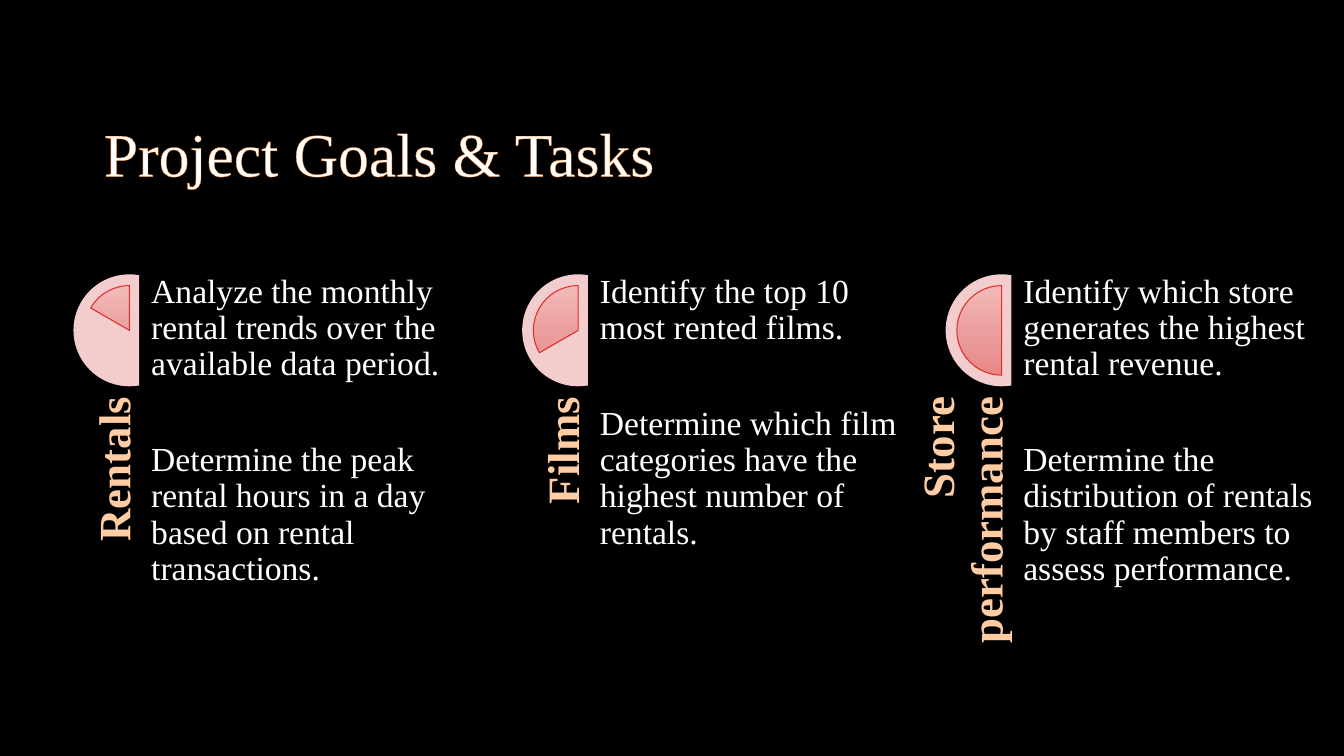
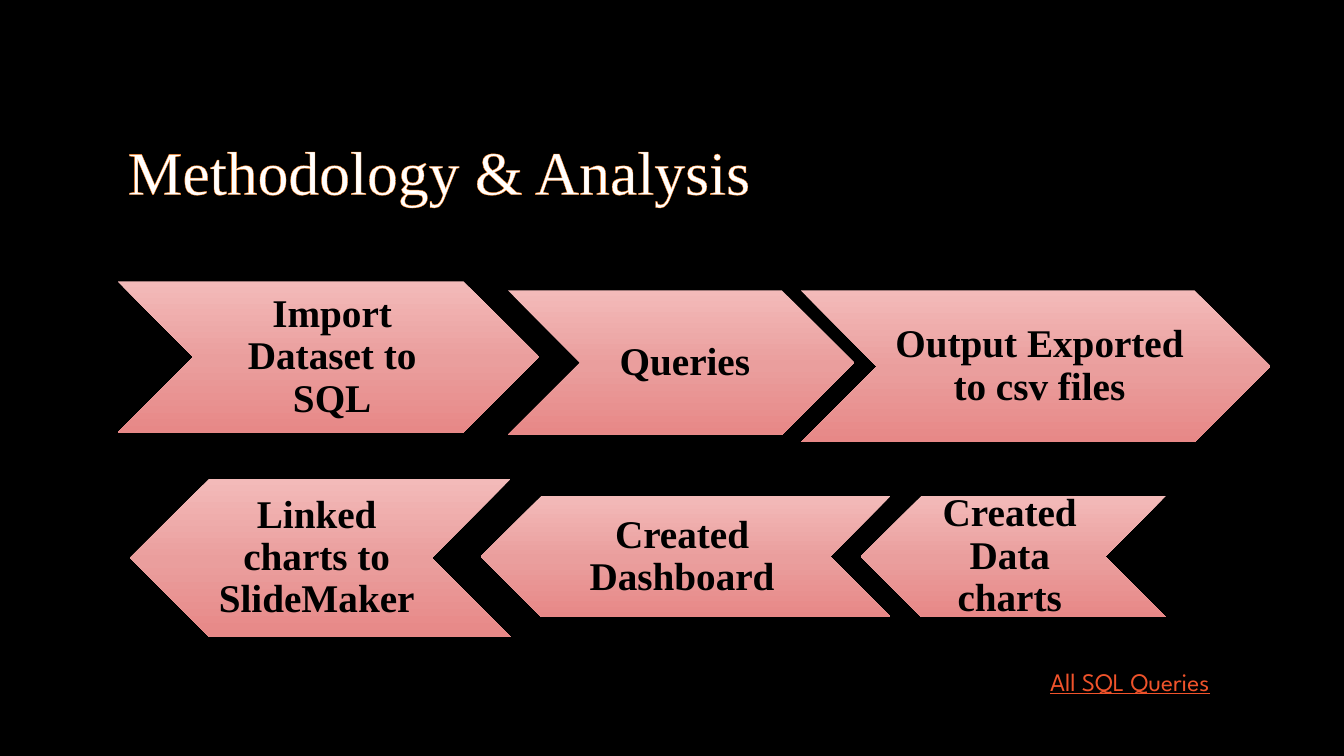
from copy import deepcopy

from lxml import etree
from pptx import Presentation
from pptx.dml.color import RGBColor
from pptx.enum.shapes import MSO_SHAPE
from pptx.enum.text import MSO_ANCHOR, MSO_AUTO_SIZE, PP_ALIGN
from pptx.oxml.ns import qn
from pptx.util import Pt

CHORD, PIE, CHEVRON = MSO_SHAPE.CHORD, MSO_SHAPE.PIE, MSO_SHAPE.CHEVRON
LEFT, CENTER, RIGHT = PP_ALIGN.LEFT, PP_ALIGN.CENTER, PP_ALIGN.RIGHT
TOP, MIDDLE, BOTTOM = MSO_ANCHOR.TOP, MSO_ANCHOR.MIDDLE, MSO_ANCHOR.BOTTOM
TITLE_ONLY = 5

BLACK, WHITE = "000000", "FFFFFF"
PALE_PINK, RED, PEACH = "F3CDCD", "DF2E28", "FFCCA3"
ORANGE, LINK_RED = "FE801A", "F0532B"
GRADIENT = [(0, "F3BAB9"), (0.52, "EA9E9D"), (1, "E78887")]


def write(shape, *texts, size=24, color=WHITE, font="Times New Roman", bold=False,
          underline=False, align=LEFT, anchor=TOP, insets=(0, 0, 0, 0),
          line_spacing=0.9, gap=0, wrap=True, outline=None):
    """Fill a shape with one formatted paragraph per text."""
    frame = shape.text_frame
    frame.auto_size = MSO_AUTO_SIZE.NONE
    frame.word_wrap = wrap
    frame.vertical_anchor = anchor
    (frame.margin_left, frame.margin_top,
     frame.margin_right, frame.margin_bottom) = map(Pt, insets)
    for index, text in enumerate(texts):
        paragraph = frame.add_paragraph() if index else frame.paragraphs[0]
        paragraph.alignment = align
        paragraph.line_spacing = line_spacing
        paragraph.space_before = Pt(gap if index else 0)
        run = paragraph.add_run()
        run.text = text
        run.font.name, run.font.size = font, Pt(size)
        run.font.bold, run.font.underline = bold, underline
        run.font.color.rgb = RGBColor.from_string(color)
        if outline:
            line = etree.Element(qn("a:ln"), w=str(Pt(0.52)))
            fill = etree.SubElement(line, qn("a:solidFill"))
            etree.SubElement(fill, qn("a:srgbClr"), val=outline)
            run.font._element.insert(0, line)


def add_figure(slide, kind, left, top, width, height, fill=None, line=None, adjustments=()):
    """Add a preset shape, with the shared gradient unless a plain fill is given."""
    shape = slide.shapes.add_shape(kind, Pt(left), Pt(top), Pt(width), Pt(height))
    shape.shadow.inherit = False
    for index, value in enumerate(adjustments):
        shape.adjustments[index] = value
    if fill:
        shape.fill.solid()
        shape.fill.fore_color.rgb = RGBColor.from_string(fill)
    else:
        shape.fill.gradient()
        shape.fill.gradient_angle = 270
        stop_list = shape._element.spPr.find(qn("a:gradFill")).find(qn("a:gsLst"))
        stop_list.insert(1, deepcopy(stop_list[0]))
        for stop, (position, color) in zip(shape.fill.gradient_stops, GRADIENT):
            stop.position = position
            stop.color.rgb = RGBColor.from_string(color)
    if line:
        shape.line.color.rgb = RGBColor.from_string(line)
        shape.line.width = Pt(0.75)
    else:
        shape.line.fill.background()
    return shape


presentation = Presentation()
presentation.slide_width, presentation.slide_height = Pt(960), Pt(540)

# Shared black background
background = presentation.slide_master.background.fill
background.solid()
background.fore_color.rgb = RGBColor.from_string(BLACK)

# Slides and their titles
slides = []
for title, left, top in [("Project Goals & Tasks", 67, 78.5),
                         ("Methodology & Analysis", 84, 91.5)]:
    slide = presentation.slides.add_slide(presentation.slide_layouts[TITLE_ONLY])
    placeholder = slide.shapes.title
    placeholder.left, placeholder.top = Pt(left), Pt(top)
    placeholder.width, placeholder.height = Pt(480), Pt(60)
    write(placeholder, title, size=44, insets=(7.2, 3.6, 7.2, 3.6),
          line_spacing=1.0, outline=ORANGE)
    slides.append(slide)
goals_slide, method_slide = slides

# Goals: three columns, each with a progress dial, a vertical label and two tasks
DIAL_TOP, DIAL_SIZE, DIAL_INSET = 196, 80, 8
LABEL_TOP, LABEL_LENGTH, LABEL_DEPTH = 283.5, 231, 47.5
columns = [
    (52.5, 239, 126, "Rentals",
     "Analyze the monthly rental trends over the available data period.",
     "Determine the peak rental hours in a day based on rental transactions."),
    (373, 220, 90, "Films",
     "Identify the top 10 most rented films.",
     "Determine which film categories have the highest number of rentals."),
    (675.5, 208, 54, "Store performance",
     "Identify which store generates the highest rental revenue.",
     "Determine the distribution of rentals by staff members to assess performance."),
]
for left, task_width, pie_start, label, *tasks in columns:
    add_figure(goals_slide, CHORD, left, DIAL_TOP, DIAL_SIZE, DIAL_SIZE,
               fill=PALE_PINK, adjustments=(48, 168))
    pie_size = DIAL_SIZE - 2 * DIAL_INSET
    add_figure(goals_slide, PIE, left + DIAL_INSET, DIAL_TOP + DIAL_INSET,
               pie_size, pie_size, line=RED, adjustments=(pie_start, 162))

    turn_offset = (LABEL_LENGTH - LABEL_DEPTH) / 2
    label_box = goals_slide.shapes.add_textbox(
        Pt(left - turn_offset), Pt(LABEL_TOP + turn_offset),
        Pt(LABEL_LENGTH), Pt(LABEL_DEPTH))
    label_box.rotation = 270
    write(label_box, label, size=32, color=PEACH, bold=True, align=RIGHT, anchor=BOTTOM)

    task_box = goals_slide.shapes.add_textbox(
        Pt(left + 55.5), Pt(DIAL_TOP), Pt(task_width), Pt(318))
    write(task_box, *tasks, gap=42.5)

# Method: steps run rightwards on the upper row and back on the lower row
steps = [
    ("Import Dataset to SQL", 84, 201, 301, 108, False),
    ("Queries", 363, 207.5, 247, 103, False),
    ("Output Exported to csv files", 572, 207.5, 335.5, 108.5, False),
    ("Created Data charts", 615, 354, 218, 87, True),
    ("Created Dashboard", 343.5, 354, 293, 87, True),
    ("Linked charts to SlideMaker", 93, 342, 272, 113, True),
]
for text, left, top, width, height, backwards in steps:
    step = add_figure(method_slide, CHEVRON, left, top, width, height)
    if backwards:
        step._element.spPr.find(qn("a:xfrm")).set("flipH", "1")
    write(step, text, size=28, color=BLACK, bold=True, align=CENTER, anchor=MIDDLE,
          insets=(3, 3, 8.5, 3) if backwards else (8.5, 3, 3, 3))

# Reference below the steps
reference_box = method_slide.shapes.add_textbox(Pt(743), Pt(472.5), Pt(174), Pt(29))
write(reference_box, "All SQL Queries", size=18, color=LINK_RED, font="League Spartan",
      underline=True, insets=(7.2, 3.6, 7.2, 3.6), line_spacing=1.0)

presentation.save("out.pptx")
